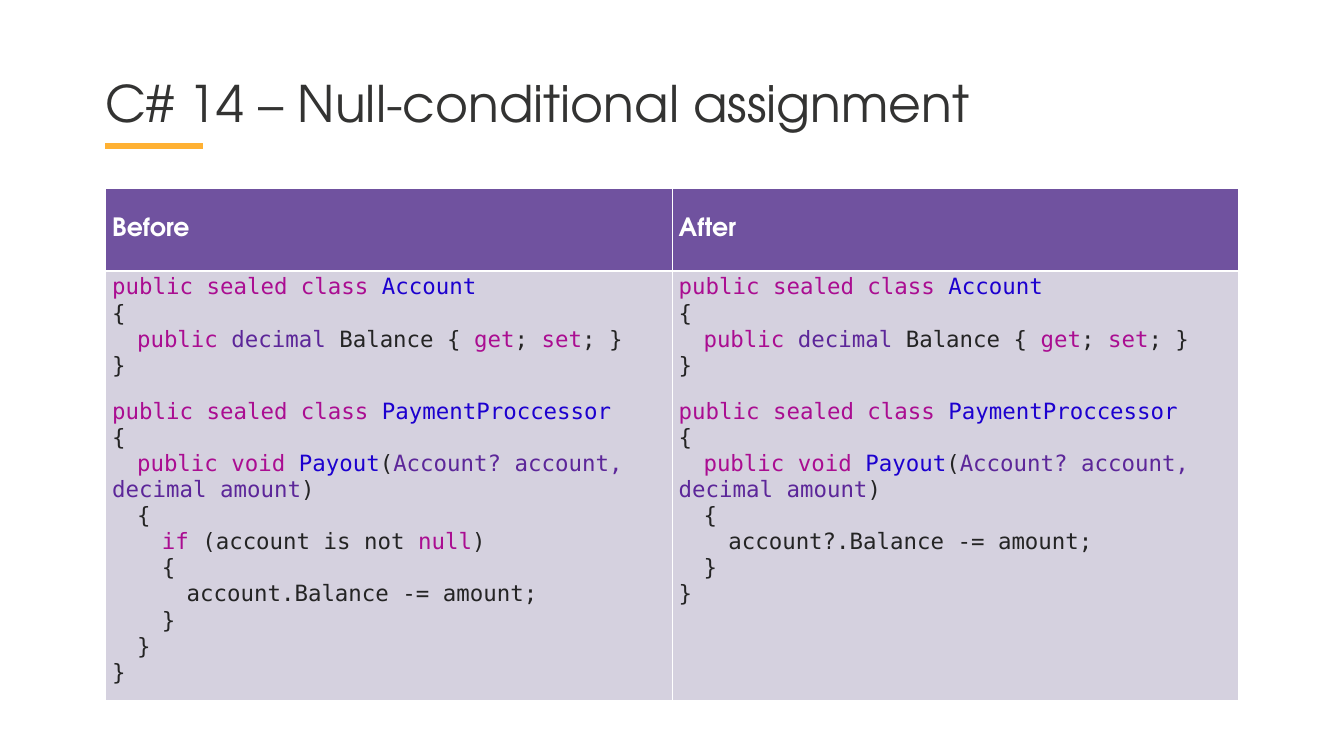
from dataclasses import dataclass

from lxml import etree
from pptx import Presentation
from pptx.dml.color import RGBColor
from pptx.enum.shapes import MSO_CONNECTOR
from pptx.enum.text import MSO_ANCHOR
from pptx.oxml.ns import qn
from pptx.util import Inches, Pt


@dataclass(frozen=True)
class Theme:
    sans: str = "TeX Gyre Adventor"
    mono: str = "DejaVu Sans Mono"
    title_size: float = 54
    header_size: float = 27
    code_size: float = 24
    class_gap: float = 21.5
    ink: str = "333332"
    accent: str = "FFB133"
    white: str = "FFFFFF"
    header_fill: str = "70529F"
    body_fill: str = "D5D1DF"
    plain: str = "242424"
    keyword: str = "AA0D91"
    name: str = "1C00CF"
    kind: str = "5C2699"


theme = Theme()


def write(para, text, font=theme.sans, size=theme.code_size, color=theme.plain, bold=False):
    """Append one formatted span to a paragraph."""
    span = para.add_run()
    span.text = text
    span.font.name = font
    span.font.size = Pt(size)
    span.font.bold = bold
    span.font.color.rgb = RGBColor.from_string(color)


def style_cell(cell, fill, bottom_width):
    """Fill a cell and draw its white borders."""
    props = cell._tc.get_or_add_tcPr()
    for side, width in (("lnL", 1), ("lnR", 1), ("lnT", 1), ("lnB", bottom_width)):
        border = etree.SubElement(props, qn(f"a:{side}"), w=str(Pt(width)))
        solid = etree.SubElement(border, qn("a:solidFill"))
        etree.SubElement(solid, qn("a:srgbClr"), val=theme.white)
    cell.fill.solid()
    cell.fill.fore_color.rgb = RGBColor.from_string(fill)


deck = Presentation()
deck.slide_width, deck.slide_height = Inches(20), Inches(11.25)
page = deck.slides.add_slide(deck.slide_layouts[6])
left = Inches(1.57)

# Title and its underline
underline = page.shapes.add_connector(
    MSO_CONNECTOR.STRAIGHT, left, Inches(2.17), Inches(3.02), Inches(2.17))
underline.line.color.rgb = RGBColor.from_string(theme.accent)
underline.line.width = Pt(6)
etree.SubElement(underline._element.spPr, qn("a:effectLst"))

box = page.shapes.add_textbox(left, Inches(1.18), Inches(13.03), Inches(0.98))
frame = box.text_frame
frame.word_wrap = True
frame.margin_left = frame.margin_right = frame.margin_top = frame.margin_bottom = 0
title = frame.paragraphs[0]
title.line_spacing = 0.9
write(title, "C# 14 – Null-conditional assignment", size=theme.title_size, color=theme.ink)

# Code, one list of (text, colour) pieces per line; None stands for a gap between classes
plain, keyword, name, kind = theme.plain, theme.keyword, theme.name, theme.kind
shared_lines = [
    [("public sealed class ", keyword), ("Account", name)],
    [("{", plain)],
    [("    ", plain), ("public ", keyword), ("decimal", kind), (" Balance { ", plain),
     ("get", keyword), ("; ", plain), ("set", keyword), ("; }", plain)],
    [("}", plain)],
    None,
    [("public sealed class ", keyword), ("PaymentProccessor", name)],
    [("{", plain)],
    [("    ", plain), ("public void ", keyword), ("Payout", name), ("(", plain),
     ("Account? account, decimal amount", kind), (")", plain)],
    [("    ", plain), ("{", plain)],
]
closing_lines = [[("    ", plain), ("}", plain)], [("}", plain)]]
before_lines = [
    [("        ", plain), ("if ", keyword), ("(account is not ", plain),
     ("null", keyword), (")", plain)],
    [("        ", plain), ("{", plain)],
    [("            ", plain), ("account.Balance -= amount;", plain)],
    [("        ", plain), ("}", plain)],
]
after_lines = [[("        ", plain), ("account?.Balance -= amount;", plain)]]
columns = [("Before", before_lines), ("After", after_lines)]

# Comparison table
table = page.shapes.add_table(
    2, len(columns), left, Inches(2.81), Inches(16.86), Inches(7.44)).table
table.rows[0].height = Inches(1.22)
table.rows[1].height = Inches(6.22)

for index, (heading, own_lines) in enumerate(columns):
    table.columns[index].width = Inches(8.43)

    header = table.cell(0, index)
    style_cell(header, theme.header_fill, bottom_width=3)
    header.vertical_anchor = MSO_ANCHOR.MIDDLE
    write(header.text_frame.paragraphs[0], heading,
          size=theme.header_size, color=theme.white, bold=True)

    body = table.cell(1, index)
    style_cell(body, theme.body_fill, bottom_width=1)
    para, gap = body.text_frame.paragraphs[0], 0
    for number, line in enumerate(shared_lines + own_lines + closing_lines):
        if line is None:
            gap = theme.class_gap
            continue
        if number:
            para = body.text_frame.add_paragraph()
        if gap:
            para.space_before, gap = Pt(gap), 0
        for text, color in line:
            # Indents are set in the narrower sans font
            write(para, text, font=theme.mono if text.strip() else theme.sans, color=color)

deck.save("out.pptx")
